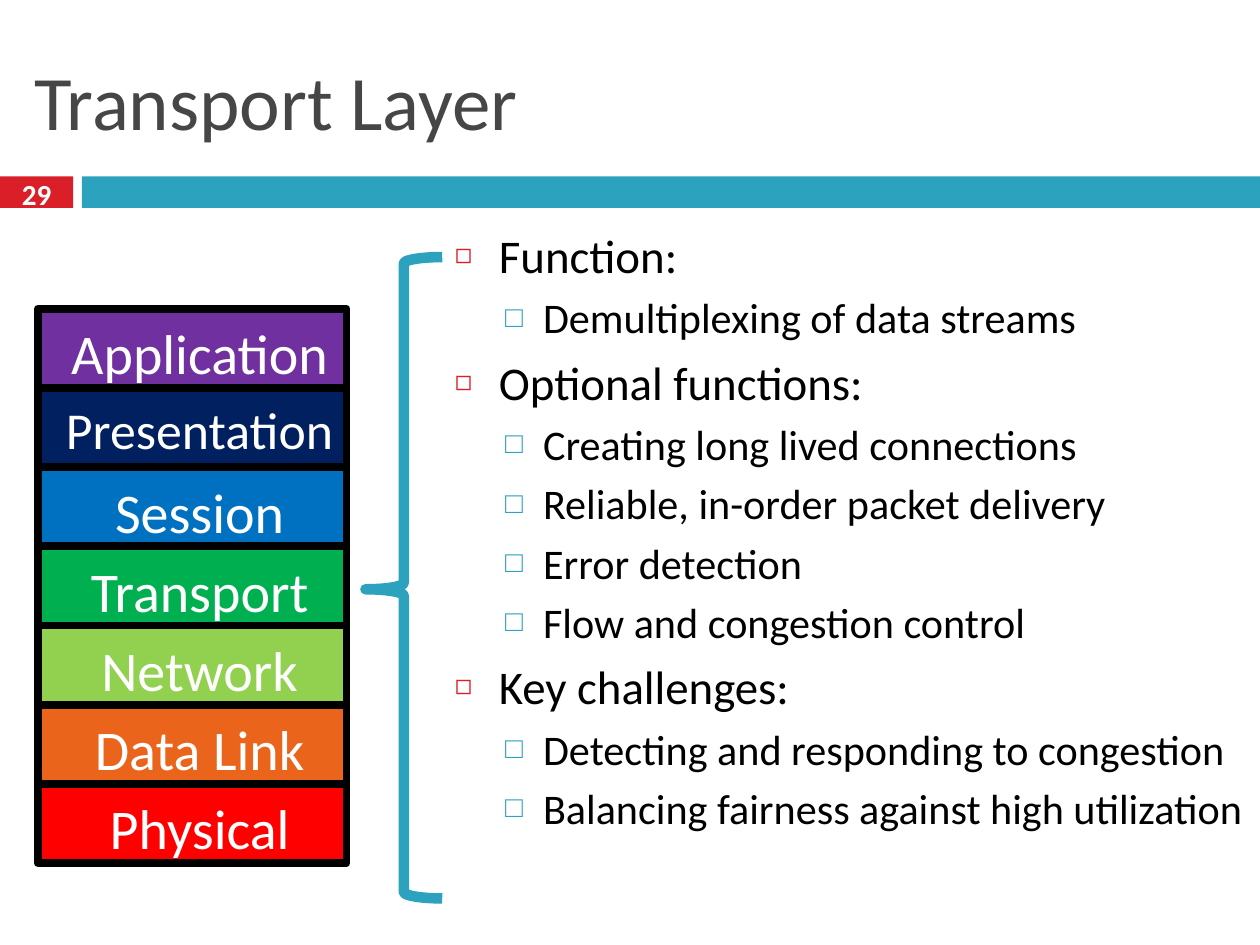
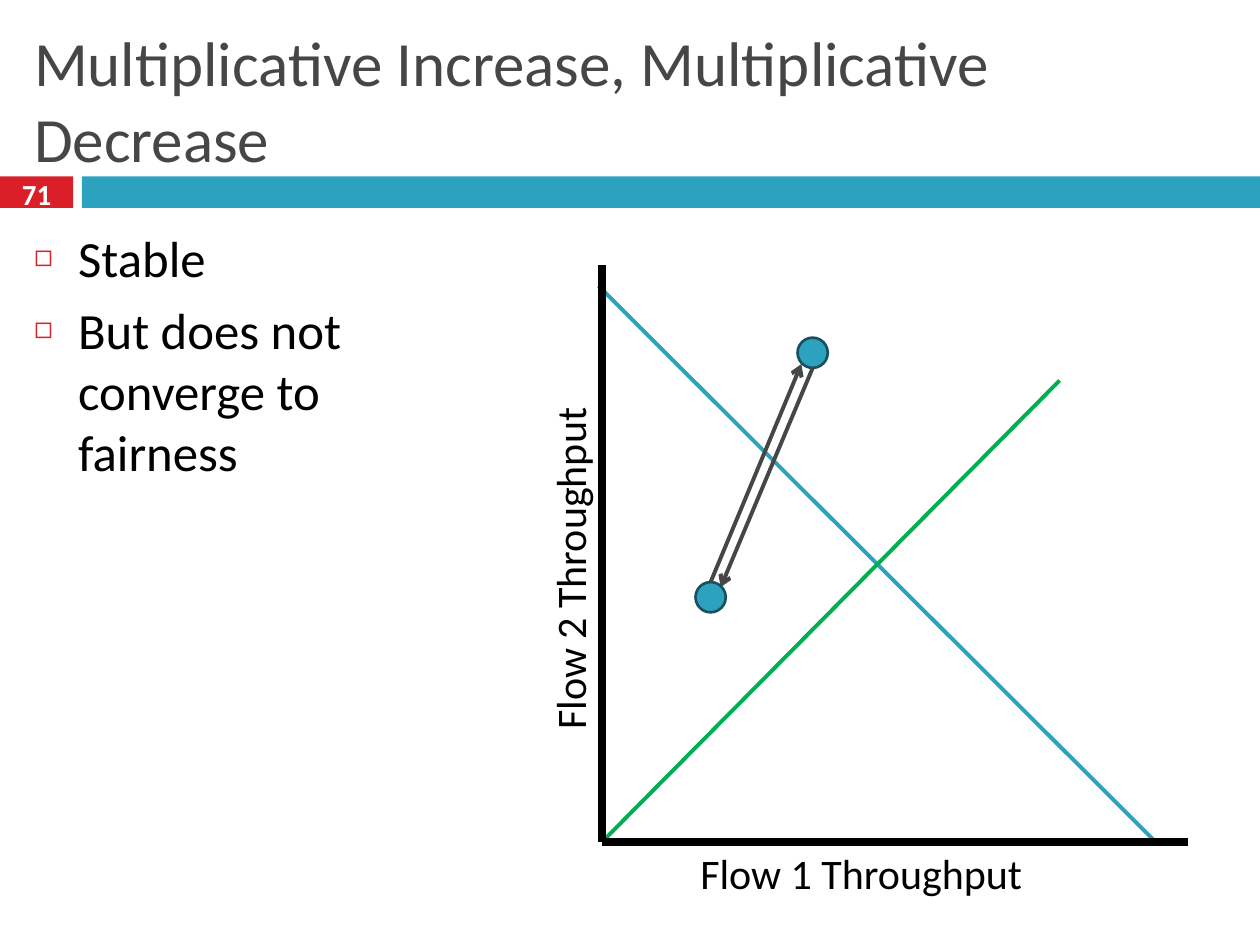
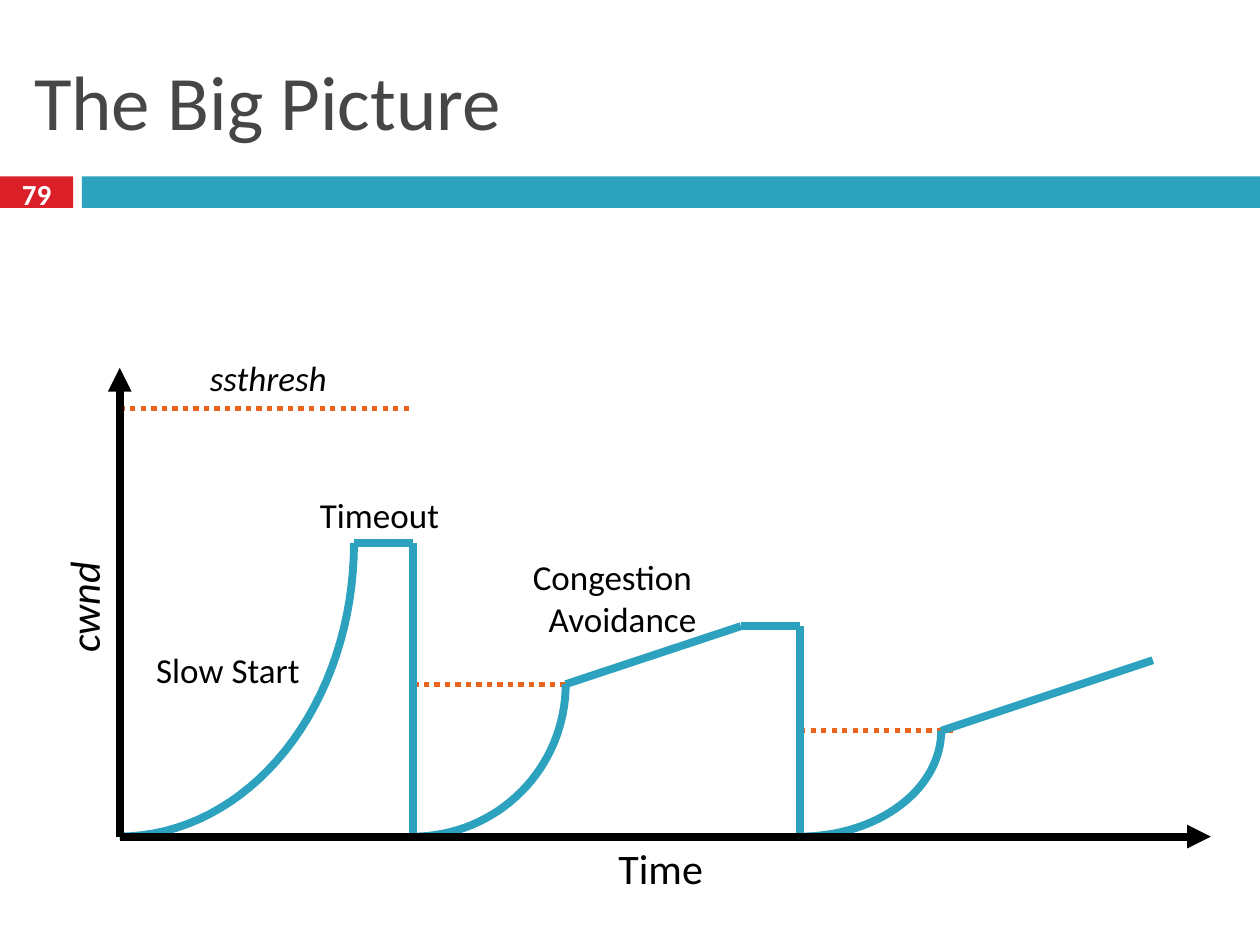
from math import cos, pi, sin

from lxml.etree import SubElement
from pptx import Presentation
from pptx.dml.color import RGBColor
from pptx.enum.dml import MSO_LINE
from pptx.enum.shapes import MSO_CONNECTOR, MSO_SHAPE as SHAPE
from pptx.enum.text import MSO_ANCHOR as ANCHOR, MSO_AUTO_SIZE as AUTO, PP_ALIGN as ALIGN
from pptx.oxml.ns import qn
from pptx.util import Inches, Pt

BLACK = RGBColor(0x00, 0x00, 0x00)
WHITE = RGBColor(0xFF, 0xFF, 0xFF)
GRAY = RGBColor(0x46, 0x46, 0x46)
RED = RGBColor(0xDA, 0x1F, 0x28)
TEAL = RGBColor(0x2D, 0xA2, 0xBF)
DARK_TEAL = RGBColor(0x17, 0x51, 0x60)
ORANGE = RGBColor(0xEB, 0x64, 0x1B)
PURPLE = RGBColor(0x70, 0x30, 0xA0)
NAVY = RGBColor(0x00, 0x20, 0x60)
BLUE = RGBColor(0x00, 0x70, 0xC0)
GREEN = RGBColor(0x00, 0xB0, 0x50)
LIME = RGBColor(0x92, 0xD0, 0x50)
BRIGHT_RED = RGBColor(0xFF, 0x00, 0x00)

TITLE_AND_BODY, TITLE_ONLY = 1, 5
FONT = "Calibri"
BULLETS = [("◻", RED, 60, 0.35, -0.35, 6.3), ("□", TEAL, 70, 0.7, -0.3, 5)]


def box(*lengths):
    return [Inches(v) for v in lengths]


class Deck:
    def __init__(self):
        self.prs = Presentation()
        self.prs.slide_width, self.prs.slide_height = box(10, 7.5)
        self.s = None

    def slide(self, title, number, layout, size=44):
        self.s = self.prs.slides.add_slide(self.prs.slide_layouts[layout])
        self.shape(SHAPE.RECTANGLE, (0, 1.4, 0.58, 0.25), RED)
        self.shape(SHAPE.RECTANGLE, (0.65, 1.4, 9.35, 0.25), TEAL)
        sp = self.s.shapes.title
        self.place(sp, 0.17, 0.25, 9.67, 1.08)
        self.set_text(sp, title, size, GRAY, anchor=ANCHOR.MIDDLE)
        self.label(str(number), (0, 1.37, 0.58, 0.33), 16.6, WHITE, bold=True,
                   align=ALIGN.CENTER, anchor=ANCHOR.MIDDLE, margins=(0, 0, 0, 0))

    def place(self, sp, *at):
        sp.left, sp.top, sp.width, sp.height = box(*at)

    def style(self, p, size, color, bold=False, italic=False):
        for r in p.runs:
            f = r.font
            f.name, f.size, f.bold, f.italic = FONT, Pt(size), bold, italic
            f.color.rgb = color

    def set_text(self, sp, text, size, color, align=ALIGN.LEFT, anchor=ANCHOR.TOP,
                 margins=(0.1, 0.05, 0.1, 0.05), **look):
        tf = sp.text_frame
        tf.text = text
        tf.word_wrap, tf.auto_size, tf.vertical_anchor = True, AUTO.NONE, anchor
        tf.margin_left, tf.margin_top, tf.margin_right, tf.margin_bottom = box(*margins)
        for p in tf.paragraphs:
            p.alignment = align
            self.style(p, size, color, **look)

    def label(self, text, at, size=24, color=BLACK, rotation=0, **options):
        sp = self.s.shapes.add_textbox(*box(*at))
        sp.rotation = rotation
        self.set_text(sp, text, size, color, **options)
        return sp

    def bullets(self, items, at, sizes):
        sp = self.s.placeholders[1]
        self.place(sp, *at)
        self.set_text(sp, "\n".join(text for _, text in items), sizes[0], BLACK)
        for i, (p, (level, _)) in enumerate(zip(sp.text_frame.paragraphs, items)):
            char, color, percent, left, hang, before = BULLETS[level]
            p.level = level
            p.space_before = Pt(before if i else 0)
            pPr = p._p.get_or_add_pPr()
            pPr.set("marL", str(Inches(left)))
            pPr.set("indent", str(Inches(hang)))
            SubElement(SubElement(pPr, qn("a:buClr")), qn("a:srgbClr")).set("val", str(color))
            SubElement(pPr, qn("a:buSzPct")).set("val", str(percent * 1000))
            SubElement(pPr, qn("a:buChar")).set("char", char)
            self.style(p, sizes[level], BLACK)

    def paint(self, sp, fill, line, width):
        sp.shadow.inherit = False
        if fill is None:
            sp.fill.background()
        else:
            sp.fill.solid()
            sp.fill.fore_color.rgb = fill
        if line is None:
            sp.line.fill.background()
        else:
            sp.line.color.rgb = line
            sp.line.width = Pt(width)

    def shape(self, kind, at, fill=None, line=None, width=4.5):
        sp = self.s.shapes.add_shape(kind, *box(*at))
        self.paint(sp, fill, line, width)
        return sp

    def line(self, start, end, color, width=4.5, dash=None, arrow=None):
        cx = self.s.shapes.add_connector(MSO_CONNECTOR.STRAIGHT, *box(*start, *end))
        cx.line.color.rgb = color
        cx.line.width = Pt(width)
        if dash:
            cx.line.dash_style = dash
        spPr = cx._element.spPr
        if arrow:
            SubElement(spPr.find(qn("a:ln")), qn("a:tailEnd")).set("type", arrow)
        SubElement(spPr, qn("a:effectLst"))

    def polyline(self, points, color):
        for start, end in zip(points, points[1:]):
            self.line(start, end, color)

    def quarter_curve(self, left, top, width, height, color, steps=32):
        angles = [pi / 2 * i / steps for i in range(steps + 1)]
        points = [box(left + width * cos(a), top + height * sin(a)) for a in angles]
        fb = self.s.shapes.build_freeform(*points[0])
        fb.add_line_segments(points[1:], close=False)
        self.paint(fb.convert_to_shape(), None, color, 4.5)


def transport_layer(deck):
    deck.slide("Transport Layer", 29, TITLE_AND_BODY)
    deck.bullets([
        (0, "Function:"),
        (1, "Demultiplexing of data streams"),
        (0, "Optional functions:"),
        (1, "Creating long lived connections"),
        (1, "Reliable, in-order packet delivery"),
        (1, "Error detection"),
        (1, "Flow and congestion control"),
        (0, "Key challenges:"),
        (1, "Detecting and responding to congestion"),
        (1, "Balancing fairness against high utilization"),
    ], (3.51, 1.75, 6.49, 5.58), (26.8, 24.1))
    layers = [("Application", PURPLE), ("Presentation", NAVY), ("Session", BLUE),
              ("Transport", GREEN), ("Network", LIME), ("Data Link", ORANGE),
              ("Physical", BRIGHT_RED)]
    height = 4.4 / len(layers)
    for i, (name, color) in enumerate(layers):
        sp = deck.shape(SHAPE.RECTANGLE, (0.3, 2.45 + i * height, 2.45, height), color, BLACK)
        deck.set_text(sp, name, 29.6 if name == "Presentation" else 32, WHITE,
                      align=ALIGN.CENTER, margins=(0.17, 0.08, 0.05, 0))
    brace = deck.shape(SHAPE.LEFT_BRACE, (2.9, 2.04, 0.61, 5.09), None, TEAL, 6)
    brace.adjustments[1] = 0.518


def multiplicative(deck):
    deck.slide("Multiplicative Increase, Multiplicative Decrease", 71, TITLE_AND_BODY, 36)
    deck.bullets([(0, "Stable"), (0, "But does not converge to fairness")],
                 (0.17, 1.75, 3.34, 5.58), (29,))
    deck.label("Flow 1 Throughput", (5.46, 6.68, 3, 0.5))
    deck.label("Flow 2 Throughput", (3.02, 4.14, 3, 0.5), rotation=270)
    origin = (4.78, 6.68)
    deck.line((4.75, 2.27), (9.17, 6.68), TEAL, 2.25)
    deck.line(origin, (8.41, 3.02), GREEN, 2.25)
    deck.line(origin, (9.43, 6.68), BLACK)
    deck.line(origin, (4.78, 2.1), BLACK)
    for left, top, start, end in [(6.33, 2.68, (6.45, 2.92), (5.72, 4.66)),
                                  (5.52, 4.62, (5.64, 4.62), (6.36, 2.89))]:
        deck.shape(SHAPE.OVAL, (left, top, 0.24, 0.24), TEAL, DARK_TEAL, 1.5)
        deck.line(start, end, GRAY, 2.25, arrow="arrow")


def big_picture(deck):
    deck.slide("The Big Picture", 79, TITLE_ONLY)
    base = 6.64
    for left, right, y in [(0.95, 3.28, 3.24), (3.28, 4.49, 5.43), (6.35, 7.56, 5.8)]:
        deck.line((left, y), (right, y), ORANGE, 3, dash=MSO_LINE.ROUND_DOT)
    deck.label("Time", (4.81, 6.64, 0.94, 0.51))
    deck.label("cwnd", (0.17, 4.53, 0.99, 0.51), rotation=270, italic=True)
    deck.label("Timeout", (2.44, 3.87, 1.21, 0.44), 20)
    deck.label("Slow Start", (1.14, 5.1, 1.48, 0.44), 20)
    sp = deck.label("Congestion\nAvoidance", (4.13, 4.36, 1.62, 0.77), 20)
    sp.text_frame.paragraphs[1].alignment = ALIGN.CENTER
    cycles = [
        (0.95, [(2.81, 4.31), (3.28, 4.31), (3.28, base)]),
        (3.28, [(4.49, 5.43), (5.88, 4.97), (6.35, 4.97), (6.35, base)]),
        (6.35, [(7.47, 5.8), (9.15, 5.24)]),
    ]
    for left, points in cycles:
        right, top = points[0]
        deck.quarter_curve(left, top, right - left, base - top, TEAL)
        deck.polyline(points, TEAL)
    for end in [(0.95, 2.92), (9.61, base)]:
        deck.line((0.95, base), end, BLACK, arrow="triangle")
    deck.label("ssthresh", (1.5, 2.78, 1.26, 0.44), 20, align=ALIGN.CENTER, italic=True)


def main():
    deck = Deck()
    transport_layer(deck)
    multiplicative(deck)
    big_picture(deck)
    deck.prs.save("out.pptx")


if __name__ == "__main__":
    main()
